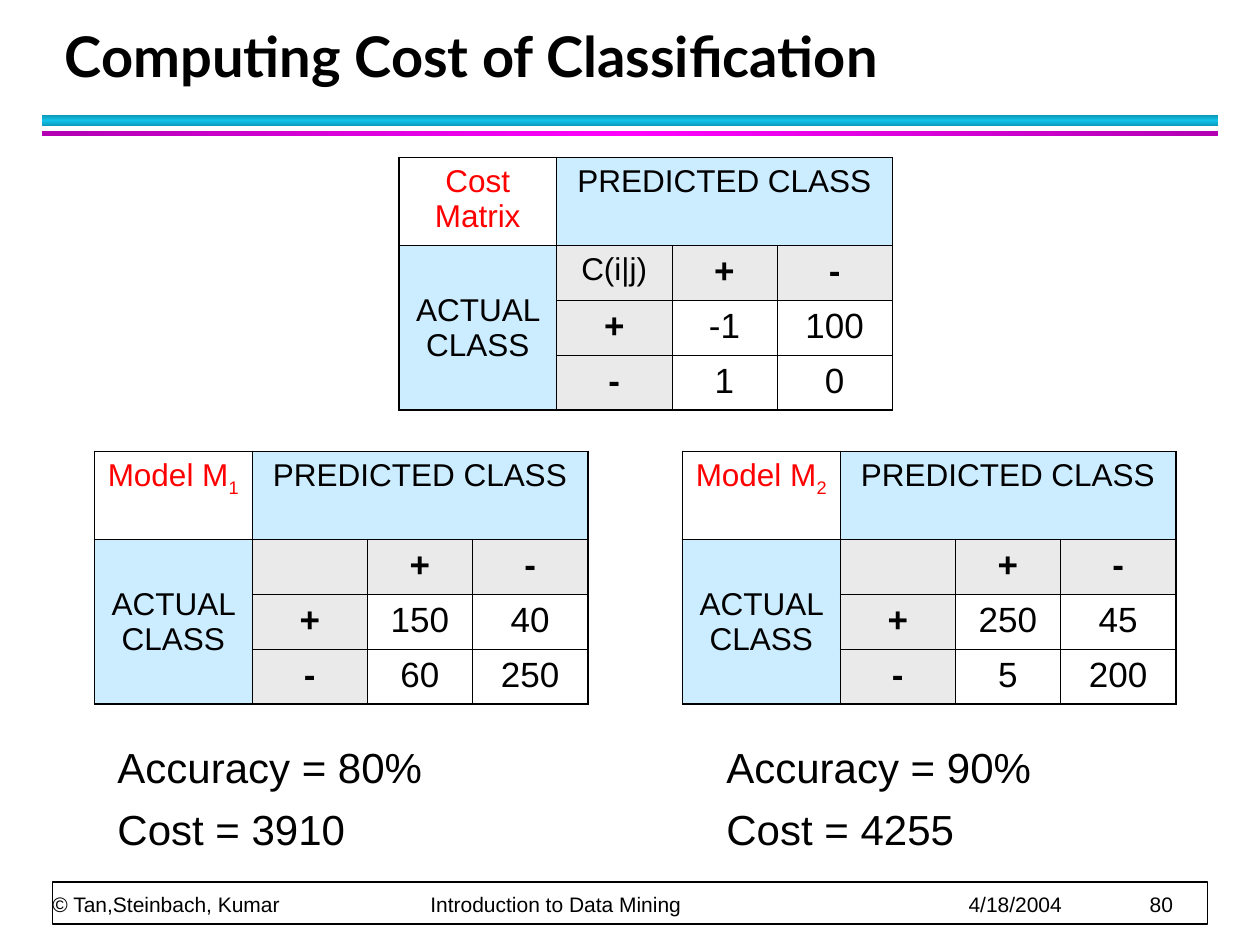
from copy import deepcopy

from lxml import etree
from pptx import Presentation
from pptx.dml.color import RGBColor
from pptx.enum.shapes import MSO_SHAPE
from pptx.enum.text import MSO_ANCHOR, PP_ALIGN
from pptx.oxml import parse_xml
from pptx.oxml.ns import nsdecls, qn
from pptx.util import Pt

COLORS = {
    "black": "000000", "white": "FFFFFF", "red": "FF0000",
    "blue": "CCECFF", "gray": "EAEAEA",
    "cyan": "12C2E9", "dark cyan": "0E9BBA",
    "magenta": "FF00FF", "dark magenta": "B200B2",
}


def rgb(name):
    return RGBColor.from_string(COLORS[name])


def write(tf, text, sub="", size=18, bold=False, color="black", font="Arial",
          align=PP_ALIGN.LEFT, line=None, gap=0, tabs=()):
    """Fill a text frame, one paragraph a line; sub follows as a subscript."""
    tf.word_wrap = True
    for i, words in enumerate(text.split("\n")):
        p = tf.add_paragraph() if i else tf.paragraphs[0]
        if tabs:
            tab_list = etree.SubElement(p._p.get_or_add_pPr(), qn("a:tabLst"))
            for pos in tabs:
                etree.SubElement(tab_list, qn("a:tab"), pos=str(Pt(pos)), algn="l")
        p.alignment = align
        p.line_spacing = line
        if i:
            p.space_before = Pt(gap)
        for part in filter(None, (words, sub)):
            r = p.add_run()
            r.text = part
            r.font.name, r.font.size, r.font.bold = font, Pt(size), bold
            r.font.color.rgb = rgb(color)
            if part == sub:
                r.font._element.set("baseline", "-25000")


prs = Presentation()
prs.slide_width, prs.slide_height = Pt(720), Pt(540)
s = prs.slides.add_slide(prs.slide_layouts[6])

# Header bars
for top, height, edge, middle, angle in [
    (66, 6, "dark cyan", "cyan", 90),
    (75, 3, "dark magenta", "magenta", 0),
]:
    bar = s.shapes.add_shape(MSO_SHAPE.RECTANGLE, Pt(24), Pt(top), Pt(672), Pt(height))
    bar.shadow.inherit = False
    bar.line.fill.background()
    bar.fill.gradient()
    bar.fill.gradient_angle = angle
    stops = bar._element.spPr.find(".//" + qn("a:gsLst"))
    stops.insert(1, deepcopy(stops[0]))
    for stop, pos, color in zip(bar.fill.gradient_stops, (0, 0.5, 1), (edge, middle, edge)):
        stop.position = pos
        stop.color.rgb = rgb(color)

# Footer
frame = s.shapes.add_shape(MSO_SHAPE.RECTANGLE, Pt(30), Pt(504), Pt(660), Pt(24))
frame.shadow.inherit = False
frame.fill.solid()
frame.fill.fore_color.rgb = rgb("white")
frame.line.color.rgb = rgb("black")
frame.line.width = Pt(1)
tf = s.shapes.add_textbox(Pt(30), Pt(484), Pt(659), Pt(40)).text_frame
tf.margin_left = tf.margin_right = tf.margin_top = tf.margin_bottom = 0
tf.vertical_anchor = MSO_ANCHOR.BOTTOM
write(tf, "© Tan,Steinbach, Kumar\tIntroduction to Data Mining\t4/18/2004\t80",
      size=12, line=Pt(20), tabs=(216, 523.5, 627))

# Title
tf = s.shapes.add_textbox(Pt(30), Pt(12), Pt(652), Pt(42)).text_frame
tf.vertical_anchor = MSO_ANCHOR.BOTTOM
write(tf, "Computing Cost of Classification", size=32, bold=True, font="Lato", line=Pt(36))

# Cost matrix and the confusion matrices of both models
for left, top, name, sub, corner, plus_row, minus_row in [
    (228, 90, "Cost Matrix", "", "C(i|j)", ("-1", "100"), ("1", "0")),
    (54, 258, "Model M", "1", "", ("150", "40"), ("60", "250")),
    (390, 258, "Model M", "2", "", ("250", "45"), ("5", "200")),
]:
    grid = [
        (name, "PREDICTED CLASS", "", ""),
        ("ACTUAL CLASS", corner, "+", "-"),
        ("", "+", *plus_row),
        ("", "-", *minus_row),
    ]
    table = s.shapes.add_table(4, 4, Pt(left), Pt(top), Pt(282), Pt(144)).table
    table.first_row = table.horz_banding = False
    for column, width in zip(table.columns, (90, 66, 60, 66)):
        column.width = Pt(width)
    for row, height in zip(table.rows, (50.4, 31.2, 31.2, 31.2)):
        row.height = Pt(height)
    table.cell(0, 1).merge(table.cell(0, 3))
    table.cell(1, 0).merge(table.cell(3, 0))

    for i, texts in enumerate(grid):
        for j, text in enumerate(texts):
            cell = table.cell(i, j)
            last_row = i + cell.span_height - 1 if cell.is_merge_origin else i
            last_col = j + cell.span_width - 1 if cell.is_merge_origin else j
            outer = {"L": j == 0, "R": last_col == 3, "T": i == 0, "B": last_row == 3}
            for side, is_outer in outer.items():
                cell._tc.get_or_add_tcPr().append(parse_xml(
                    f'<a:ln{side} {nsdecls("a")} w="{Pt(1.08 if is_outer else 0.45)}">'
                    f'<a:solidFill><a:srgbClr val="{COLORS["black"]}"/></a:solidFill>'
                    f'</a:ln{side}>'))

            is_title = i == j == 0
            is_class = not is_title and 0 in (i, j)
            is_label = not is_class and 1 in (i, j)
            cell.fill.solid()
            cell.fill.fore_color.rgb = rgb(
                "blue" if is_class else "gray" if is_label else "white")
            if j == 0 and i:
                cell.vertical_anchor = MSO_ANCHOR.MIDDLE
            if text:
                write(cell.text_frame, text, sub if is_title else "",
                      size=20 if i + j > 2 else 18, bold=is_label and i + j > 2,
                      color="red" if is_title else "black", align=PP_ALIGN.CENTER)

# Results under each model
for left, accuracy, cost in [(60, "80%", 3910), (408, "90%", 4255)]:
    tf = s.shapes.add_textbox(Pt(left), Pt(420), Pt(240), Pt(78)).text_frame
    write(tf, f"Accuracy = {accuracy}\nCost = {cost}", size=24, gap=7)

prs.save("out.pptx")
